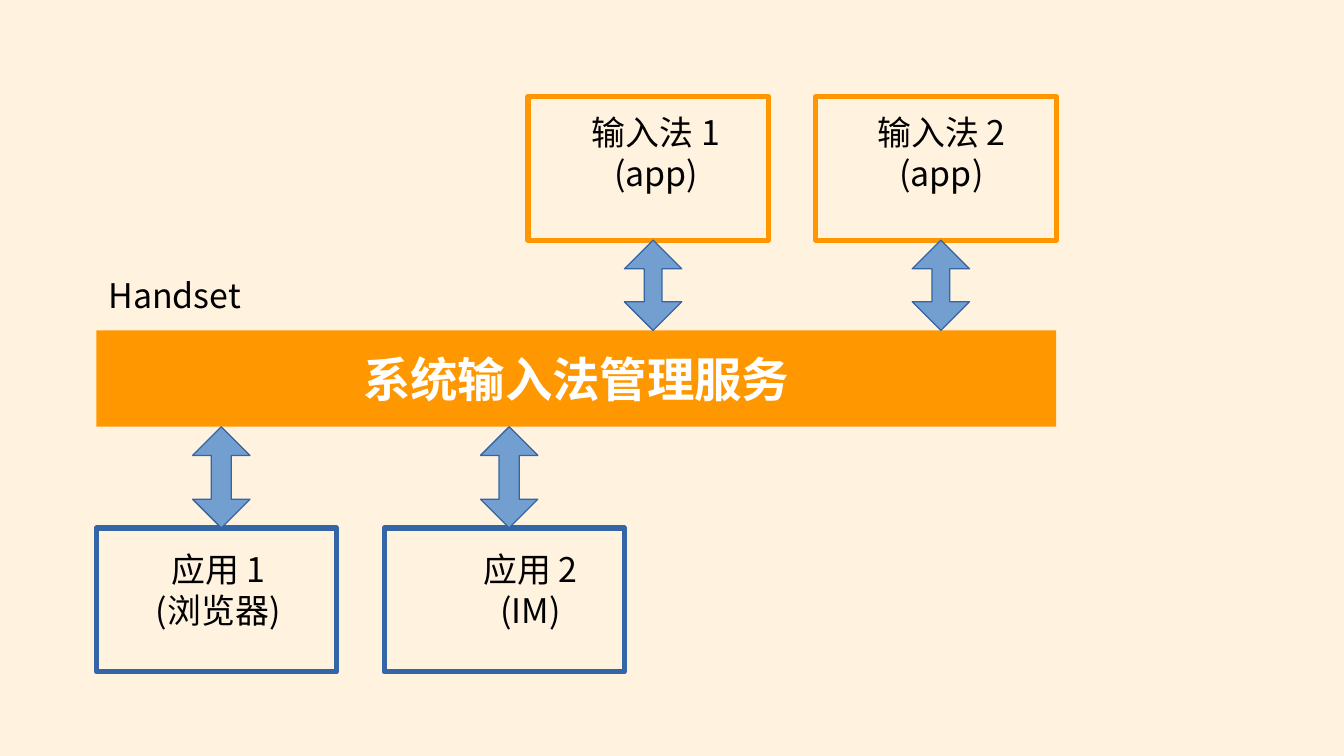
from dataclasses import dataclass

from lxml.etree import SubElement
from pptx import Presentation
from pptx.dml.color import RGBColor
from pptx.enum.shapes import MSO_SHAPE as Shape
from pptx.enum.text import MSO_ANCHOR as Anchor, MSO_AUTO_SIZE as AutoSize, PP_ALIGN as Align
from pptx.oxml.ns import qn
from pptx.util import Inches, Pt

FONT = "Noto Sans CJK SC"
CREAM, ORANGE, BLUE, LIGHT_BLUE = "FFF3E0", "FF9800", "3465A4", "729FCF"
BLACK, WHITE = "000000", "FFFFFF"

LEFT, PITCH = 0.79, 2.36
BOX_WIDTH, BOX_HEIGHT = 1.97, 1.18
METHOD_TOP, APP_TOP = 0.79, 4.33
BAR_TOP, BAR_WIDTH, BAR_HEIGHT = 2.71, 7.87, 0.79
ARROW_OFFSET, ARROW_WIDTH = 0.79, 0.47


@dataclass
class Component:
    lines: list[str]
    left: float
    top: float
    color: str
    label_left: float
    label_top: float
    label_width: float
    label_height: float


@dataclass
class Link:
    left: float
    top: float
    bottom: float
    head: float


def rgb(value: str) -> RGBColor:
    return RGBColor.from_string(value)


def add_block(slide, kind, left: float, top: float, width: float, height: float,
              fill: str = "", line: str = "", line_width: float = 0):
    shape = slide.shapes.add_shape(kind, Inches(left), Inches(top), Inches(width), Inches(height))
    shape.shadow.inherit = False
    if fill:
        shape.fill.solid()
        shape.fill.fore_color.rgb = rgb(fill)
    else:
        shape.fill.background()
    if line:
        shape.line.color.rgb = rgb(line)
        shape.line.width = Pt(line_width)
    else:
        shape.line.fill.background()
    return shape


def write_lines(frame, lines: list[str], size: float, color: str, align, bold: bool = False) -> None:
    for index, line in enumerate(lines):
        paragraph = frame.add_paragraph() if index else frame.paragraphs[0]
        paragraph.text = line
        paragraph.alignment = align
        font = paragraph.font
        font.size, font.bold, font.name = Pt(size), bold, FONT
        font.color.rgb = rgb(color)
        # East Asian glyphs need their own typeface entry
        properties = paragraph._p.pPr.find(qn("a:defRPr"))
        SubElement(properties, qn("a:ea")).set("typeface", FONT)


def add_label(slide, lines: list[str], left: float, top: float, width: float, height: float,
              align=Align.CENTER, wrap: bool = True) -> None:
    box = slide.shapes.add_textbox(Inches(left), Inches(top), Inches(width), Inches(height))
    box.text_frame.word_wrap = wrap
    box.text_frame.auto_size = AutoSize.SHAPE_TO_FIT_TEXT
    write_lines(box.text_frame, lines, 20, BLACK, align)


def add_component(slide, item: Component) -> None:
    add_block(slide, Shape.RECTANGLE, item.left, item.top, BOX_WIDTH, BOX_HEIGHT,
              line=item.color, line_width=3)
    add_label(slide, item.lines, item.label_left, item.label_top,
              item.label_width, item.label_height)


def add_link(slide, link: Link) -> None:
    arrow = add_block(slide, Shape.UP_DOWN_ARROW, link.left, link.top, ARROW_WIDTH,
                      link.bottom - link.top, LIGHT_BLUE, BLUE)
    arrow.adjustments[0] = 0.5
    arrow.adjustments[1] = link.head


def column(index: float) -> float:
    return LEFT + index * PITCH


def main() -> None:
    presentation = Presentation()
    presentation.slide_width, presentation.slide_height = Inches(11.02), Inches(6.2)
    slide = presentation.slides.add_slide(presentation.slide_layouts[6])
    slide.background.fill.solid()
    slide.background.fill.fore_color.rgb = rgb(CREAM)

    # Service bar and its platform label
    bar = add_block(slide, Shape.RECTANGLE, LEFT, BAR_TOP, BAR_WIDTH, BAR_HEIGHT, ORANGE)
    bar.text_frame.vertical_anchor = Anchor.MIDDLE
    write_lines(bar.text_frame, ["系统输入法管理服务"], 28, WHITE, Align.CENTER, bold=True)
    add_label(slide, ["Handset"], LEFT, 2.2, 1.92, 0.5, Align.LEFT, wrap=False)

    # Apps below the bar, input methods above it
    method_left = LEFT + BAR_WIDTH - BOX_WIDTH
    components = [
        Component(["应用 1", "(浏览器)"], column(0), APP_TOP, BLUE, 1.1, 4.45, 1.38, 1.31),
        Component(["应用 2", "(IM)"], column(1), APP_TOP, BLUE, 3.66, 4.45, 1.38, 0.91),
        Component(["输入法 2", "(app)"], method_left, METHOD_TOP, ORANGE, 7.01, 0.87, 1.42, 1.02),
        Component(["输入法 1", "(app)"], method_left - PITCH, METHOD_TOP, ORANGE,
                  4.65, 0.87, 1.46, 1.02),
    ]
    for component in components:
        add_component(slide, component)

    # Two-way arrows between each box and the bar
    for component in components:
        left = component.left + ARROW_OFFSET
        if component.top < BAR_TOP:
            add_link(slide, Link(left, component.top + BOX_HEIGHT, BAR_TOP, 0.31))
        else:
            add_link(slide, Link(left, BAR_TOP + BAR_HEIGHT, component.top, 0.35))

    presentation.save("out.pptx")


if __name__ == "__main__":
    main()
